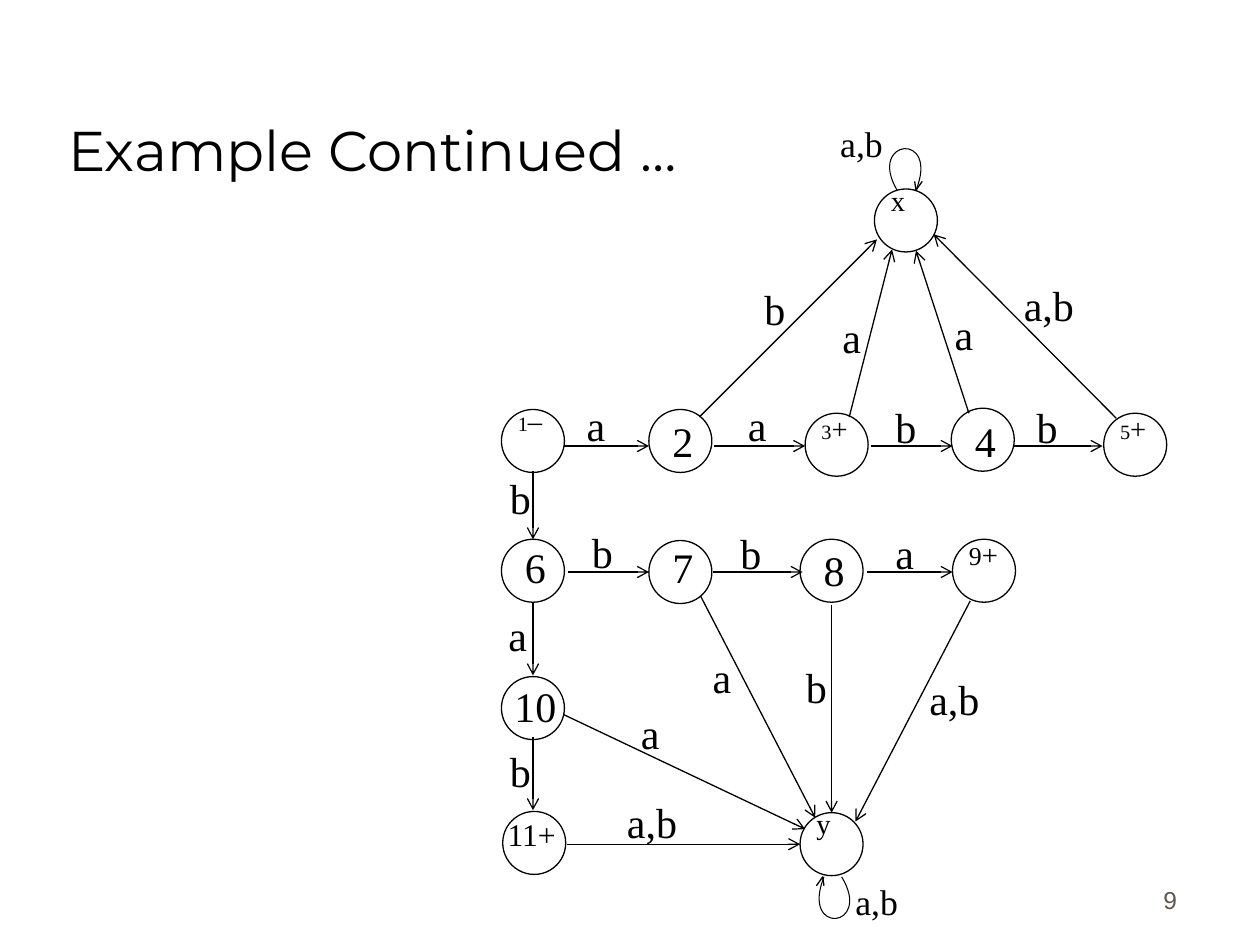
from dataclasses import dataclass

from lxml.etree import SubElement
from pptx import Presentation
from pptx.dml.color import RGBColor
from pptx.enum.shapes import MSO_CONNECTOR, MSO_SHAPE
from pptx.enum.text import MSO_ANCHOR, MSO_AUTO_SIZE, PP_ALIGN
from pptx.oxml.ns import qn
from pptx.util import Inches, Pt

COLORS = {"ink": "000000", "state": "FFFFFF", "page number": "5E574E"}
SERIF = "Times New Roman"
COLUMNS = 100  # the slide is 100 square cells wide and 75 high
ROWS = 75
STATE_SIZE = 5
CELL = Inches(10) // COLUMNS

Point = tuple[float, float]
Runs = tuple[tuple[str, float], ...]


@dataclass
class State:
    """A plain state, its number centred in the circle."""
    name: str
    left: float
    top: float
    label_drop: float
    label_shift: float = 0.2
    size: float = 24


@dataclass
class MarkedState:
    """A state with a small label at its upper left."""
    runs: Runs
    left: float
    top: float
    label_rise: float


@dataclass
class Edge:
    symbols: str
    start: Point
    end: Point
    label: Point


@dataclass
class Loop:
    curve: tuple[Point, Point, Point, Point]
    head: tuple[Point, Point, Point]
    label: Point


STATES = [
    State("2", 51.5, 32.5, 0),
    State("4", 75.5, 32.4, 0.1),
    State("6", 39.8, 42.8, -0.3),
    State("7", 51.5, 42.9, -0.4),
    State("8", 63.5, 42.8, -0.1),
    State("10", 39.8, 53.7, -0.2),
    State("11+", 39.9, 64.4, -0.2, label_shift=-0.2, size=18),
]
MARKED_STATES = [
    MarkedState((("x", 16.3),), 69.4, 15, 1.8),
    MarkedState((("1", 11.6), ("–", 16.3)), 39.8, 32.5, 1.8),
    MarkedState((("3", 11.6), ("+", 16.3)), 63.9, 32.8, 1.5),
    MarkedState((("5", 11.6), ("+", 16.3)), 87.6, 32.8, 1.5),
    MarkedState((("9", 14.7), ("+", 16.3)), 75.6, 42.8, 1.5),
    MarkedState((("y", 16.3),), 63.5, 64.5, 1.8),
]
EDGES = [
    # Upper row
    Edge("a", (44.8, 35.4), (51.5, 35.4), (44.8, 31.2)),
    Edge("a", (56.7, 35.4), (63.9, 35.4), (57.6, 31.2)),
    Edge("b", (69.1, 35.4), (75.6, 35.4), (69.4, 31.4)),
    Edge("b", (80.5, 35.4), (87.5, 35.4), (80.6, 31.4)),
    # Middle row
    Edge("b", (45.1, 45.4), (51.5, 45.4), (45.3, 41.3)),
    Edge("b", (56.6, 45.4), (63.7, 45.4), (57.1, 41.4)),
    Edge("a", (68.8, 45.4), (75.6, 45.4), (69.3, 41.4)),
    # First column
    Edge("b", (42.3, 37.4), (42.3, 42.8), (38.8, 37)),
    Edge("a", (42.3, 47.8), (42.3, 53.6), (38.6, 47.9)),
    Edge("b", (42.3, 58.5), (42.3, 64.3), (38.8, 58.7)),
    # Into x
    Edge("b", (55.5, 33.1), (69.6, 19), (59, 22)),
    Edge("a", (67.4, 33.1), (70.8, 19.8), (65.1, 24.2)),
    Edge("a", (76.9, 32.8), (72.7, 19.9), (74, 24)),
    Edge("a,b", (88.6, 33.2), (74.1, 18.6), (79.5, 21.7)),
    # Into y
    Edge("a", (55.6, 47.3), (64.7, 64.9), (54.8, 51.2)),
    Edge("b", (66, 48), (66, 64.5), (62.3, 52)),
    Edge("a,b", (77, 47.7), (67.9, 65.2), (72, 53)),
    Edge("a", (44.7, 56.7), (63.9, 65.8), (49.1, 55.7)),
    Edge("a,b", (45, 67), (63.5, 67), (48, 62.7)),
]
LOOPS = [
    Loop(((71.2, 15.1), (68.8, 11), (74.6, 10.4), (72.7, 15.1)),
         ((73.2, 14.4), (72.7, 15.1), (72.6, 14.4)), (65.7, 9.2)),
    Loop(((66.8, 69.6), (69.3, 73.7), (63.5, 74.3), (65.4, 69.6)),
         ((64.8, 70.3), (65.3, 69.6), (65.4, 70.3)), (66.9, 69.3)),
]


def cells(*lengths: float) -> list[int]:
    return [round(length * CELL) for length in lengths]


def color(name: str) -> RGBColor:
    return RGBColor.from_string(COLORS[name])


def set_font(font, size: float, name: str = SERIF, ink: str = "ink") -> None:
    font.size, font.name = Pt(size), name
    font.color.rgb = color(ink)


def set_line(shape, width: float = 0.75) -> None:
    shape.line.color.rgb = color("ink")
    shape.line.width = Pt(width)


def draw_text(page, place: tuple, text: str, size: float,
              align=PP_ALIGN.CENTER, font: str = SERIF, ink: str = "ink"):
    box = page.shapes.add_textbox(*cells(*place))
    box.text_frame.word_wrap = True
    para = box.text_frame.paragraphs[0]
    para.text, para.alignment = text, align
    set_font(para.font, size, font, ink)
    return box


def draw_circle(page, left: float, top: float) -> None:
    circle = page.shapes.add_shape(
        MSO_SHAPE.OVAL, *cells(left, top, STATE_SIZE, STATE_SIZE))
    circle.shadow.inherit = False
    circle.fill.solid()
    circle.fill.fore_color.rgb = color("state")
    set_line(circle)


def draw_state(page, state: State) -> None:
    draw_circle(page, state.left, state.top)
    width = 5 if len(state.name) == 1 else 6.7
    left = state.left + (STATE_SIZE - width) / 2 + state.label_shift
    draw_text(page, (left, state.top + state.label_drop, width, 5),
              state.name, state.size)


def draw_marked_state(page, state: MarkedState) -> None:
    draw_circle(page, state.left, state.top)
    place = (state.left - 1.5, state.top - state.label_rise, 7.6, 5.3)
    box = draw_text(page, place, "", 16.3, PP_ALIGN.LEFT)
    frame = box.text_frame
    frame.margin_left, frame.margin_top, frame.margin_right = cells(2.8, 1.3, 0)
    for text, size in state.runs:
        span = frame.paragraphs[0].add_run()
        span.text = text
        set_font(span.font, size)


def draw_edge(page, edge: Edge) -> None:
    arrow = page.shapes.add_connector(
        MSO_CONNECTOR.STRAIGHT, *cells(*edge.start, *edge.end))
    set_line(arrow)
    SubElement(arrow.line._get_or_add_ln(), qn("a:tailEnd"), type="arrow")
    SubElement(arrow._element.spPr, qn("a:effectLst"))
    width = 7.5 if "," in edge.symbols else 5
    draw_text(page, (*edge.label, width, 5), edge.symbols, 24)


def draw_outline(page, points: tuple, width: float):
    first, *rest = [cells(*point) for point in points]
    builder = page.shapes.build_freeform(*first)
    builder.add_line_segments(rest, close=False)
    outline = builder.convert_to_shape()
    outline.shadow.inherit = False
    outline.fill.background()
    set_line(outline, width)
    return outline


def draw_loop(page, loop: Loop) -> None:
    outline = draw_outline(page, loop.curve, 0.6)
    # Turn the three straight segments into one Bézier curve
    geometry = next(outline._element.iter(qn("a:path")))
    segments = geometry.findall(qn("a:lnTo"))
    curve = SubElement(geometry, qn("a:cubicBezTo"))
    for segment in segments:
        curve.append(segment[0])
        geometry.remove(segment)
    draw_outline(page, loop.head, 0.75)
    draw_text(page, (*loop.label, 6.5, 4.4), "a,b", 20.4, PP_ALIGN.LEFT)


def draw_title(page, text: str) -> None:
    title = page.shapes.title
    title.left, title.top, title.width, title.height = cells(4.4, 2.5, 85, 12.5)
    frame = title.text_frame
    frame.text = text
    frame.auto_size = MSO_AUTO_SIZE.NONE
    frame.vertical_anchor = MSO_ANCHOR.BOTTOM
    frame.paragraphs[0].alignment = PP_ALIGN.LEFT
    set_font(frame.paragraphs[0].font, 32, "Montserrat")


def main() -> None:
    deck = Presentation()
    deck.slide_width, deck.slide_height = cells(COLUMNS, ROWS)
    page = deck.slides.add_slide(deck.slide_layouts[5])
    draw_title(page, "Example Continued …")
    # The automaton
    for state in STATES:
        draw_state(page, state)
    for state in MARKED_STATES:
        draw_marked_state(page, state)
    for edge in EDGES:
        draw_edge(page, edge)
    for loop in LOOPS:
        draw_loop(page, loop)
    # Page number
    number = draw_text(page, (73.6, 68.1, 20.8, 5), "9", 14,
                       PP_ALIGN.RIGHT, "Arial", "page number")
    number.text_frame.vertical_anchor = MSO_ANCHOR.BOTTOM
    deck.save("out.pptx")


if __name__ == "__main__":
    main()
